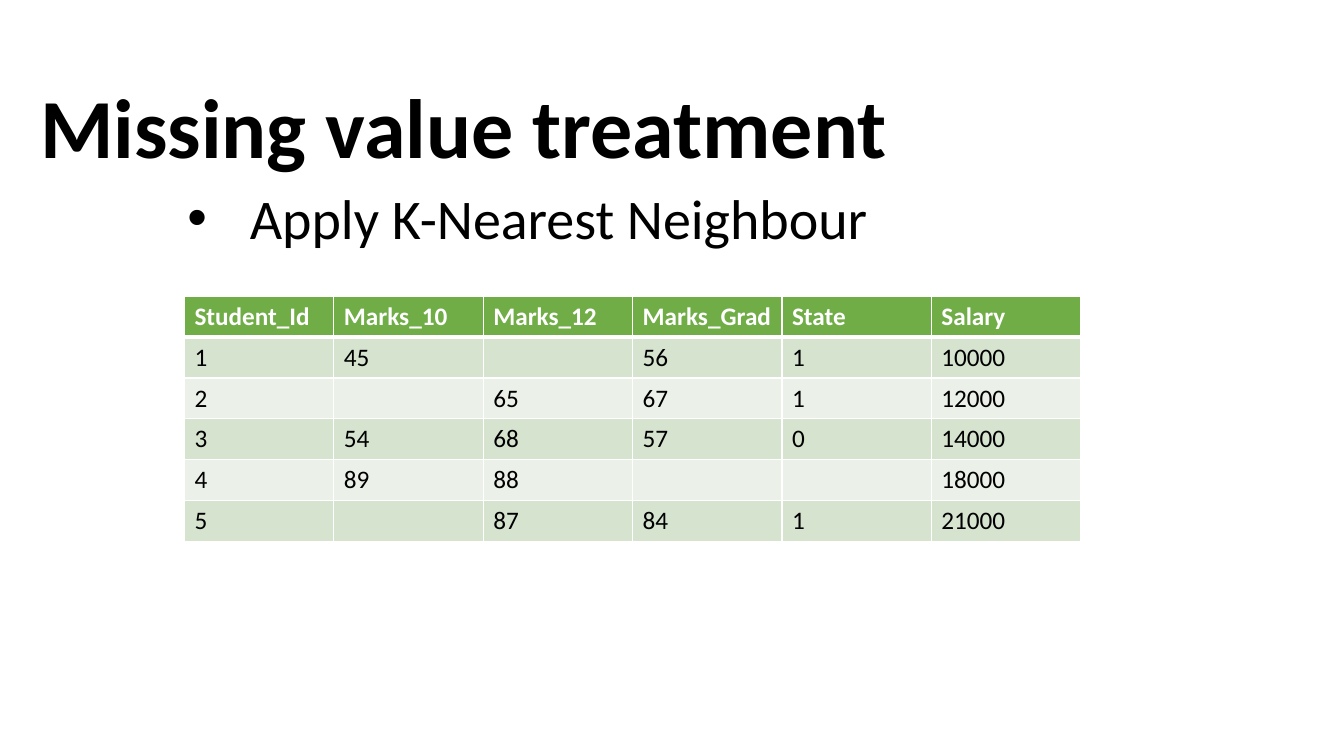
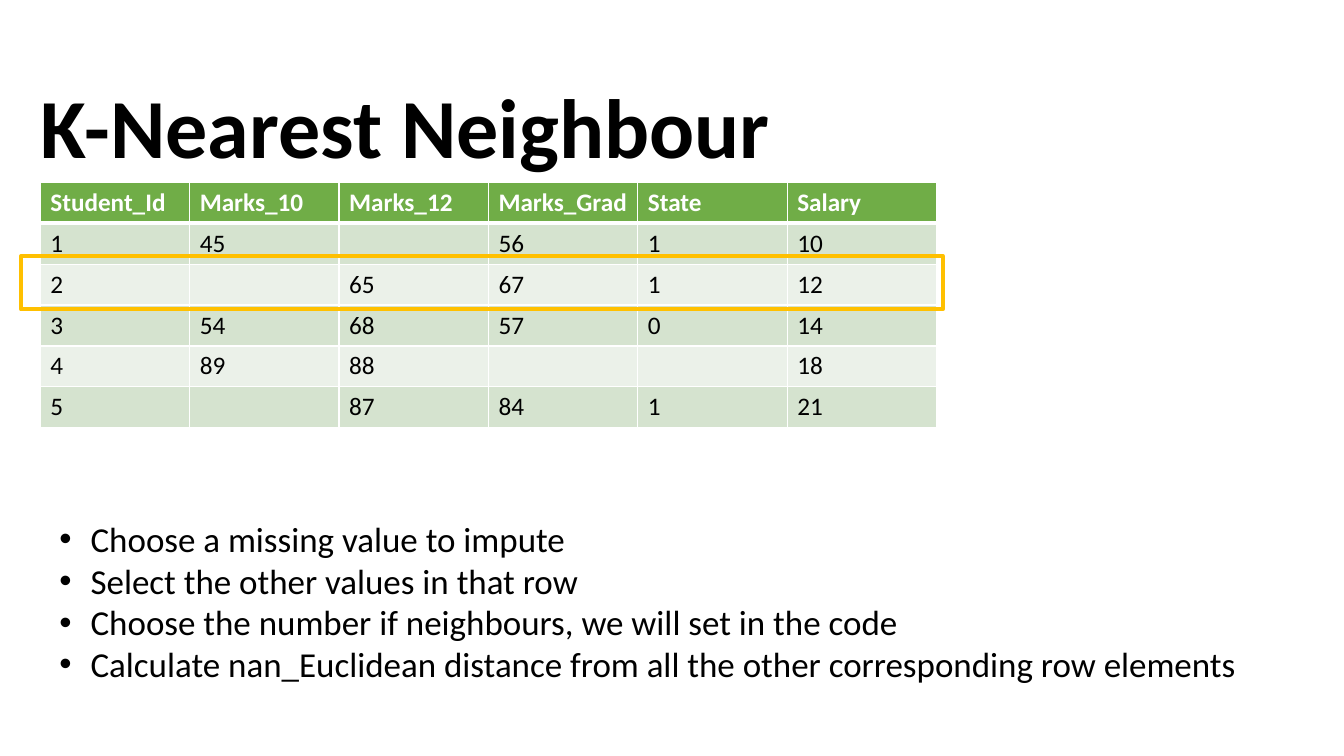
from dataclasses import dataclass

from lxml import etree
from pptx import Presentation
from pptx.dml.color import RGBColor
from pptx.enum.shapes import MSO_SHAPE
from pptx.enum.text import MSO_ANCHOR, MSO_AUTO_SIZE, PP_ALIGN
from pptx.oxml.ns import qn
from pptx.util import Pt

PX = 9144
RECT = MSO_SHAPE.RECTANGLE
LEFT = PP_ALIGN.LEFT
TOP = MSO_ANCHOR.TOP
NO_FIT = MSO_AUTO_SIZE.NONE
TITLE_ONLY = 5


@dataclass(frozen=True)
class Theme:
    font: str = "Calibri"
    black: str = "000000"
    white: str = "FFFFFF"
    header: str = "70AD47"
    band_dark: str = "D5E3CF"
    band_light: str = "EBF1E9"
    highlight: str = "FFC000"
    title_size: int = 60
    lead_size: int = 40
    list_size: int = 25
    cell_size: int = 18
    thin: int = 1
    thick: int = 3


THEME = Theme()

HEADER = ["Student_Id", "Marks_10", "Marks_12", "Marks_Grad", "State", "Salary"]
STUDENTS = [
    ["1", "45", "", "56", "1"],
    ["2", "", "65", "67", "1"],
    ["3", "54", "68", "57", "0"],
    ["4", "89", "88", "", ""],
    ["5", "", "87", "84", "1"],
]
SALARIES = [10, 12, 14, 18, 21]
STEPS = [
    "Choose a missing value to impute",
    "Select the other values in that row",
    "Choose the number if neighbours, we will set in the code",
    "Calculate nan_Euclidean distance from all the other corresponding row elements",
]


def px(*values):
    return [round(v * PX) for v in values]


def write(p, text, *, size, color=THEME.black, bold=False):
    p.alignment = LEFT
    r = p.add_run()
    r.text = text
    r.font.name = THEME.font
    r.font.size = Pt(size)
    r.font.bold = bold
    r.font.color.rgb = RGBColor.from_string(color)


def add_bullet(p, indent):
    pPr = p._p.get_or_add_pPr()
    pPr.set("marL", str(indent * PX))
    pPr.set("indent", str(-indent * PX))
    etree.SubElement(pPr, qn("a:buFont")).set("typeface", "Arial")
    etree.SubElement(pPr, qn("a:buChar")).set("char", "•")


def add_title_slide(prs, title, width):
    s = prs.slides.add_slide(prs.slide_layouts[TITLE_ONLY])
    sp = s.shapes.title
    sp.left, sp.top, sp.width, sp.height = px(30, 69, width, 111)
    tf = sp.text_frame
    tf.word_wrap = False
    tf.auto_size = NO_FIT
    tf.vertical_anchor = TOP
    write(tf.paragraphs[0], title, size=THEME.title_size, bold=True)
    return s


def add_bullets(s, box, lines, *, size, indent):
    tf = s.shapes.add_textbox(*px(*box)).text_frame
    tf.word_wrap = False
    for i, line in enumerate(lines):
        p = tf.add_paragraph() if i else tf.paragraphs[0]
        add_bullet(p, indent)
        write(p, line, size=size)


def set_borders(cell, top, bottom):
    tcPr = cell._tc.get_or_add_tcPr()
    sides = [("L", THEME.thin), ("R", THEME.thin), ("T", top), ("B", bottom)]
    for i, (side, width) in enumerate(sides):
        ln = etree.Element(qn(f"a:ln{side}"), w=str(Pt(width)))
        fill = etree.SubElement(ln, qn("a:solidFill"))
        etree.SubElement(fill, qn("a:srgbClr")).set("val", THEME.white)
        tcPr.insert(i, ln)


def add_marks_table(s, left, top, salary_unit):
    rows = [HEADER] + [
        marks + [str(salary * salary_unit)]
        for marks, salary in zip(STUDENTS, SALARIES)
    ]
    box = px(left, top, 889, 243)
    table = s.shapes.add_table(len(rows), len(HEADER), *box).table
    for i, row in enumerate(rows):
        is_header = i == 0
        band = THEME.band_dark if i % 2 else THEME.band_light
        for j, text in enumerate(row):
            cell = table.cell(i, j)
            cell.fill.solid()
            cell.fill.fore_color.rgb = RGBColor.from_string(
                THEME.header if is_header else band)
            set_borders(cell,
                        top=THEME.thick if i == 1 else THEME.thin,
                        bottom=THEME.thick if is_header else THEME.thin)
            if text:
                write(cell.text_frame.paragraphs[0], text,
                      size=THEME.cell_size, bold=is_header,
                      color=THEME.white if is_header else THEME.black)


def add_highlight(s, box):
    sp = s.shapes.add_shape(RECT, *px(*box))
    sp.shadow.inherit = False
    sp.fill.background()
    sp.line.color.rgb = RGBColor.from_string(THEME.highlight)
    sp.line.width = Pt(THEME.thick)


def main():
    prs = Presentation()
    prs.slide_width, prs.slide_height = px(1333, 750)

    s = add_title_slide(prs, "Missing value treatment", 869)
    add_bullets(s, (176, 177, 716, 77), ["Apply K-Nearest Neighbour"],
                size=THEME.lead_size, indent=62)
    add_marks_table(s, 183, 294, 1000)

    s = add_title_slide(prs, "K-Nearest Neighbour", 753)
    add_marks_table(s, 40, 181, 1)
    add_highlight(s, (21, 254, 914, 53))
    add_bullets(s, (49, 508, 1201, 178), STEPS,
                size=THEME.list_size, indent=31)

    prs.save("out.pptx")


if __name__ == "__main__":
    main()
